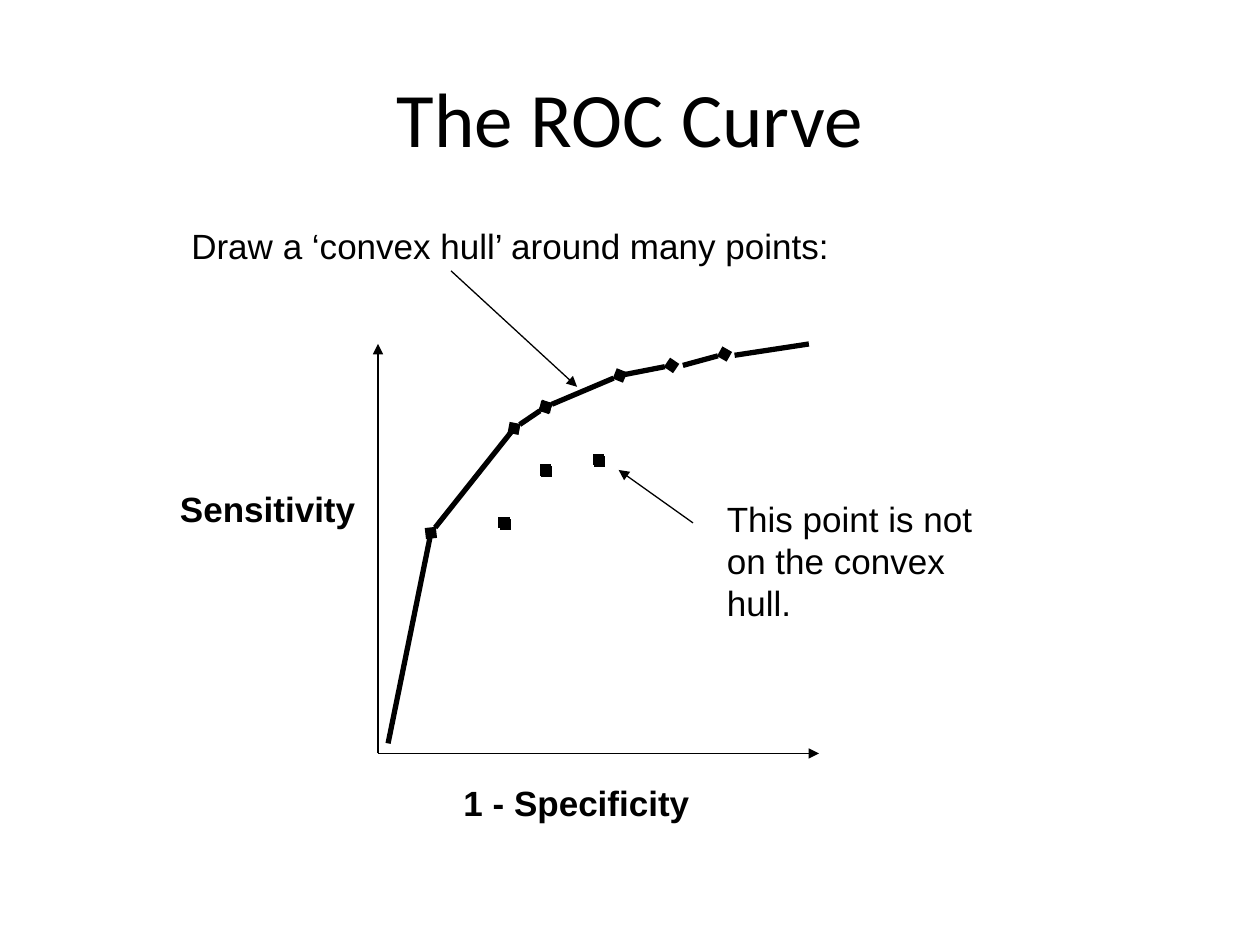
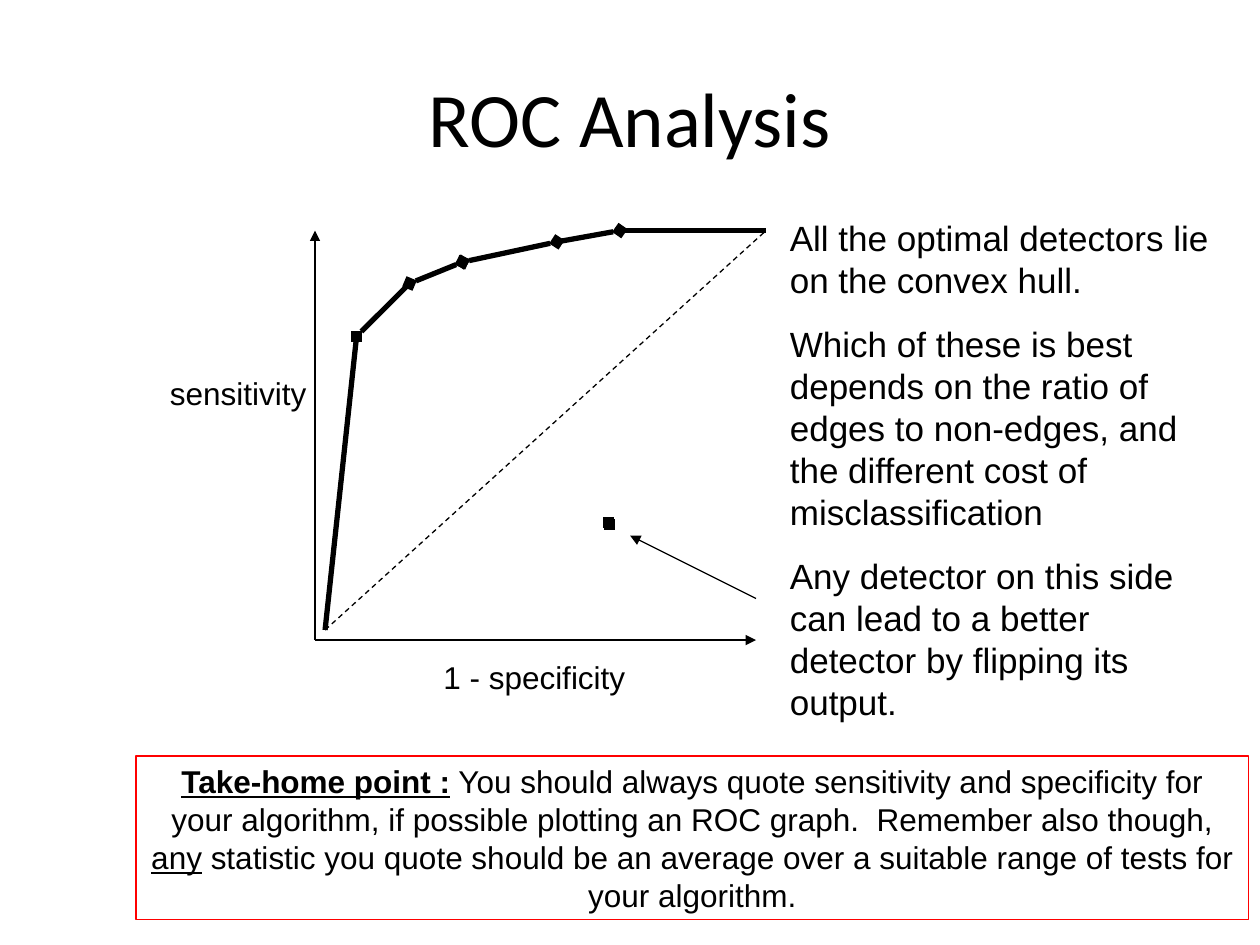
from dataclasses import dataclass

from lxml.etree import SubElement
from pptx import Presentation
from pptx.dml.color import RGBColor
from pptx.enum.dml import MSO_LINE
from pptx.enum.shapes import MSO_CONNECTOR, MSO_SHAPE
from pptx.enum.text import MSO_ANCHOR, PP_ALIGN
from pptx.oxml.ns import qn
from pptx.util import Inches, Pt


@dataclass(frozen=True)
class Theme:
    ink: RGBColor = RGBColor(0, 0, 0)
    frame: RGBColor = RGBColor(255, 0, 0)
    title_font: str = "Calibri"
    body_font: str = "Arial"
    title_size: int = 44
    body_size: int = 20
    small_size: int = 18
    thin: float = 0.75
    thick: float = 3
    paragraph_gap: float = 12.5


theme = Theme()


def draw_line(slide, start, end, width=theme.thin, head=None, tail=None):
    """Draw a straight line; head and tail name the mark at its start and end."""
    line = slide.shapes.add_connector(
        MSO_CONNECTOR.STRAIGHT, *(Inches(value) for value in (*start, *end)))
    line.line.color.rgb = theme.ink
    line.line.width = Pt(width)
    properties = line._element.spPr
    outline = properties.find(qn("a:ln"))
    for tag, mark in (("a:headEnd", head), ("a:tailEnd", tail)):
        if mark:
            SubElement(outline, qn(tag), type=mark)
    SubElement(properties, qn("a:effectLst"))
    return line


def write_text(shape, paragraphs, size, font=theme.body_font, bold=False,
               align=PP_ALIGN.LEFT, anchor=MSO_ANCHOR.TOP):
    """Fill a shape with paragraphs in one style."""
    frame = shape.text_frame
    frame.text = "\n".join(paragraphs)
    frame.word_wrap = True
    frame.vertical_anchor = anchor
    for paragraph in frame.paragraphs:
        paragraph.alignment = align
        paragraph.space_before = Pt(theme.paragraph_gap)
        for run in paragraph.runs:
            run.font.name = font
            run.font.size = Pt(size)
            run.font.bold = bold
            run.font.color.rgb = theme.ink


# Each hull segment: start, end, mark at start, mark at end
DIAMOND = "diamond"
curve_slide = {
    "title": "The ROC Curve",
    "origin": (3, 5.98),
    "axis_ends": [(3, 2.73), (6.5, 5.98)],
    "hull": [
        ((3.08, 5.9), (3.42, 4.23), None, None),
        ((3.42, 4.23), (4.08, 3.4), DIAMOND, None),
        ((4.08, 3.4), (4.33, 3.23), DIAMOND, DIAMOND),
        ((4.33, 3.23), (4.92, 2.98), DIAMOND, DIAMOND),
        ((4.92, 2.98), (5.33, 2.9), None, DIAMOND),
        ((5.42, 2.9), (5.75, 2.81), None, DIAMOND),
        ((5.83, 2.82), (6.42, 2.73), None, None),
    ],
    "inner_points": [(4.33, 3.73), (4.75, 3.65), (4, 4.15)],
    "pointers": [((5.5, 4.15), (4.91, 3.73)), ((3.58, 2.15), (4.58, 3.07))],
    "labels": [
        ((1.42, 1.73, 8.5, 0.44), theme.body_size, False,
         ["Draw a ‘convex hull’ around many points:"]),
        ((3.58, 6.15, 2.58, 0.44), theme.body_size, True, ["1 - Specificity"]),
        ((1.33, 3.82, 1.75, 0.44), theme.body_size, True, ["Sensitivity"]),
        ((5.67, 3.9, 2.42, 1.1), theme.body_size, False,
         ["This point is not on the convex hull."]),
    ],
}
analysis_slide = {
    "title": "ROC Analysis",
    "origin": (2.5, 5.08),
    "axis_ends": [(2.5, 1.83), (6, 5.08)],
    "hull": [
        ((2.58, 5), (2.83, 2.67), None, None),
        ((2.83, 2.67), (3.25, 2.25), DIAMOND, None),
        ((3.25, 2.25), (3.67, 2.08), DIAMOND, DIAMOND),
        ((3.67, 2.08), (4.42, 1.92), DIAMOND, DIAMOND),
        ((4.42, 1.92), (4.92, 1.83), None, DIAMOND),
        ((4.92, 1.83), (6.08, 1.83), None, None),
    ],
    "inner_points": [(4.83, 4.15)],
    "pointers": [((6, 4.75), (5, 4.25))],
    "labels": [
        ((3.42, 5.17, 1.92, 0.4), theme.small_size, False, ["1 - specificity"]),
        ((1.25, 2.92, 1.58, 0.4), theme.small_size, False, ["sensitivity"]),
        ((6.17, 1.67, 3.58, 4.12), theme.body_size, False, [
            "All the optimal detectors lie on the convex hull.",
            "Which of these is best depends on the ratio of edges to non-edges, "
            "and the different cost of misclassification",
            "Any detector on this side can lead to a better detector by "
            "flipping its output.",
        ]),
    ],
}

presentation = Presentation()
presentation.slide_width = Inches(10)
presentation.slide_height = Inches(7.5)
title_only = presentation.slide_layouts[5]

for content in (curve_slide, analysis_slide):
    slide = presentation.slides.add_slide(title_only)
    title = slide.shapes.title
    title.left, title.top, title.width, title.height = (
        Inches(value) for value in (0.5, 0.3, 9, 1.25))
    write_text(title, [content["title"]], theme.title_size, theme.title_font,
               align=PP_ALIGN.CENTER, anchor=MSO_ANCHOR.MIDDLE)

    for axis_end in content["axis_ends"]:
        draw_line(slide, content["origin"], axis_end, tail="triangle")
    for start, end, head, tail in content["hull"]:
        draw_line(slide, start, end, theme.thick, head, tail)
    for x, y in content["inner_points"]:
        draw_line(slide, (x, y), (x + 0.01, y + 0.01), theme.thick, DIAMOND, DIAMOND)
    for start, end in content["pointers"]:
        draw_line(slide, start, end, tail="triangle")
    for box, size, bold, paragraphs in content["labels"]:
        label = slide.shapes.add_textbox(*(Inches(value) for value in box))
        write_text(label, paragraphs, size, bold=bold)

# The last slide also has the chance diagonal and the take-home box
diagonal = draw_line(slide, (2.58, 5), (6.08, 1.83))
diagonal.line.dash_style = MSO_LINE.DASH

take_home = slide.shapes.add_shape(
    MSO_SHAPE.RECTANGLE, Inches(1.08), Inches(6), Inches(8.83), Inches(1.3))
take_home.shadow.inherit = False
take_home.fill.background()
take_home.line.color.rgb = theme.frame
take_home.line.width = Pt(theme.thin)
take_home.text_frame.word_wrap = True
take_home.text_frame.vertical_anchor = MSO_ANCHOR.TOP
paragraph = take_home.text_frame.paragraphs[0]
paragraph.alignment = PP_ALIGN.CENTER
for text, bold, underline in (
    ("Take-home point :", True, True),
    (" You should always quote sensitivity and specificity for your algorithm, "
     "if possible plotting an ROC graph.  Remember also though, ", False, False),
    ("any", False, True),
    (" statistic you quote should be an average over a suitable range of tests "
     "for your algorithm.", False, False),
):
    run = paragraph.add_run()
    run.text = text
    run.font.name = theme.body_font
    run.font.size = Pt(theme.small_size)
    run.font.bold = bold
    run.font.underline = underline
    run.font.color.rgb = theme.ink

presentation.save("out.pptx")
